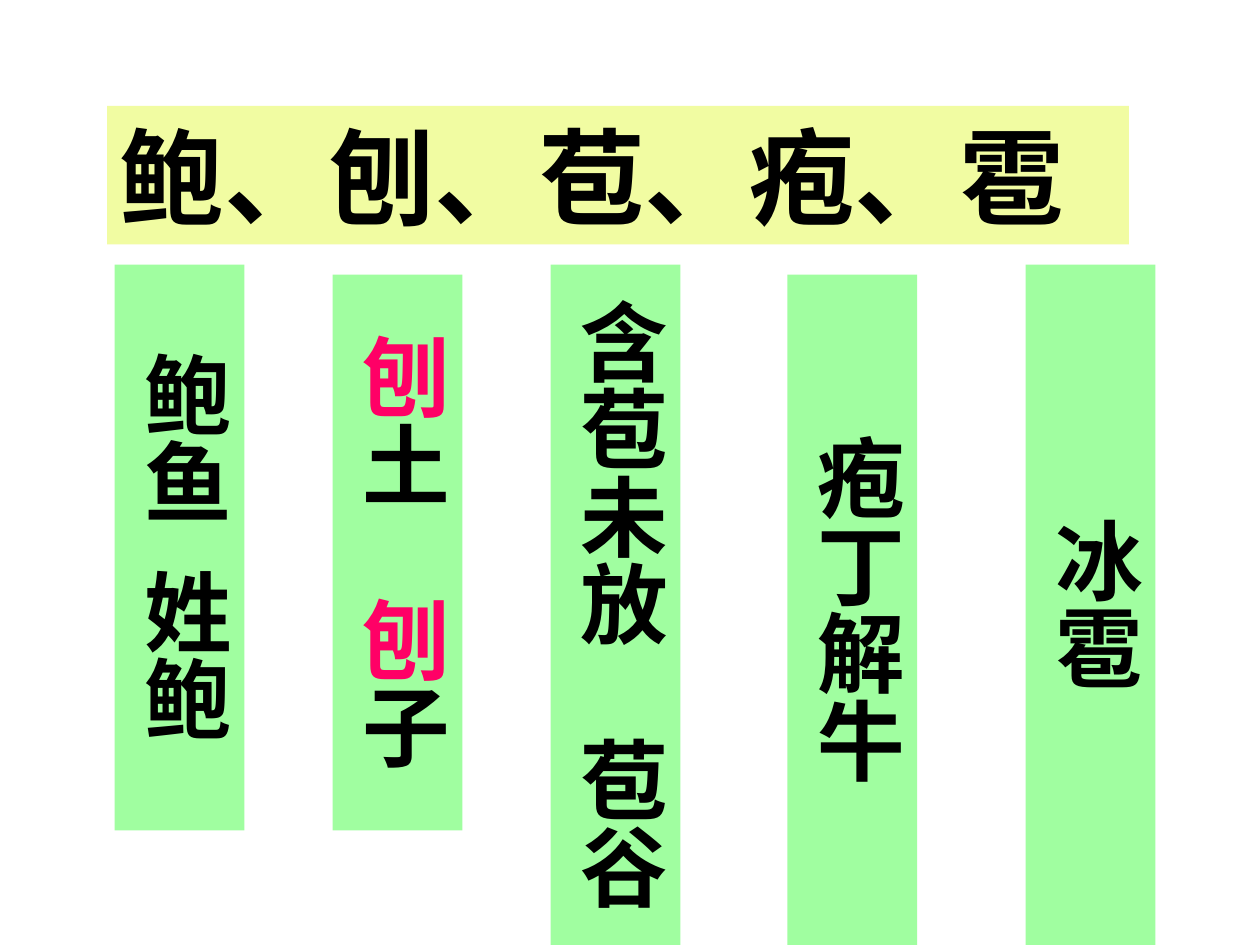
from lxml import etree
from pptx import Presentation
from pptx.dml.color import RGBColor
from pptx.enum.shapes import MSO_SHAPE
from pptx.enum.text import MSO_ANCHOR, MSO_AUTO_SIZE, PP_ALIGN
from pptx.oxml.ns import qn
from pptx.util import Inches, Pt

RECT = MSO_SHAPE.RECTANGLE
TOP, MIDDLE = MSO_ANCHOR.TOP, MSO_ANCHOR.MIDDLE
NO_FIT = MSO_AUTO_SIZE.NONE
LEFT, CENTER = PP_ALIGN.LEFT, PP_ALIGN.CENTER

CJK, LATIN = "Noto Sans CJK SC", "Arial"
YELLOW, GREEN, BLACK, PINK = "F1FCA2", "A0FEA0", "000000", "FF0066"
COLUMN_WIDTH = 1.03
WORD_GAP = "1250"  # extra width of a lone space, in 1/100 pt

# left, top, bottom, Latin font, runs of (text, colour)
COLUMNS = [
    (0.91, 2.10, 6.59, CJK,
     [("鲍鱼", BLACK), (" ", BLACK), ("姓鲍", BLACK)]),
    (2.64, 2.18, 6.59, LATIN,
     [("刨", PINK), ("土　", BLACK), ("刨", PINK), ("子", BLACK)]),
    (4.37, 2.10, 7.50, LATIN, [("含苞未放　苞谷", BLACK)]),
    (6.25, 2.18, 7.50, LATIN, [("疱丁解牛", BLACK)]),
    (8.14, 2.10, 7.50, LATIN, [("冰雹", BLACK)]),
]


def color(value):
    return RGBColor.from_string(value)


def fill_shape(shape, value):
    shape.fill.solid()
    shape.fill.fore_color.rgb = color(value)
    shape.line.fill.background()


def set_frame(tf, anchor, side, end):
    tf.word_wrap = True
    tf.auto_size = NO_FIT
    tf.vertical_anchor = anchor
    tf.margin_left = tf.margin_right = Inches(side)
    tf.margin_top = tf.margin_bottom = Inches(end)


def write_runs(p, runs, size, font, align):
    p.alignment = align
    p.font.size = Pt(size)
    p.font.bold = True
    p.font.name = font
    for text, value in runs:
        r = p.add_run()
        r.text = text
        r.font.color.rgb = color(value)
        # East Asian typeface, together with the run's own settings
        r.font.size, r.font.bold, r.font.name = Pt(size), True, font
        etree.SubElement(r.font._element, qn("a:ea"), typeface=CJK)
        if text == " ":
            r.font._element.set("spc", WORD_GAP)


def add_heading(s, text):
    title = s.shapes.title
    title.left, title.top = Inches(0.85), Inches(0.84)
    title.width, title.height = Inches(8.11), Inches(1.1)
    fill_shape(title, YELLOW)
    set_frame(title.text_frame, MIDDLE, 0.1, 0.05)
    write_runs(title.text_frame.paragraphs[0], [(text, BLACK)], 60, CJK, LEFT)


def add_column(s, left, top, bottom, font, runs):
    sp = s.shapes.add_shape(RECT, Inches(left), Inches(top),
                            Inches(COLUMN_WIDTH), Inches(bottom - top))
    sp.shadow.inherit = False
    fill_shape(sp, GREEN)
    tf = sp.text_frame
    set_frame(tf, TOP, 0.05, 0.1)
    # Characters stacked from top to bottom, centred along the column
    body = tf._txBody.bodyPr
    body.set("vert", "eaVert")
    body.set("anchorCtr", "1")
    write_runs(tf.paragraphs[0], runs, 50, font, CENTER)


def main():
    prs = Presentation()
    prs.slide_width, prs.slide_height = Inches(10), Inches(7.5)
    s = prs.slides.add_slide(prs.slide_layouts[5])

    # Characters to compare
    add_heading(s, "鲍、刨、苞、疱、雹")

    # Example words below each character
    for column in COLUMNS:
        add_column(s, *column)

    prs.save("out.pptx")


if __name__ == "__main__":
    main()
